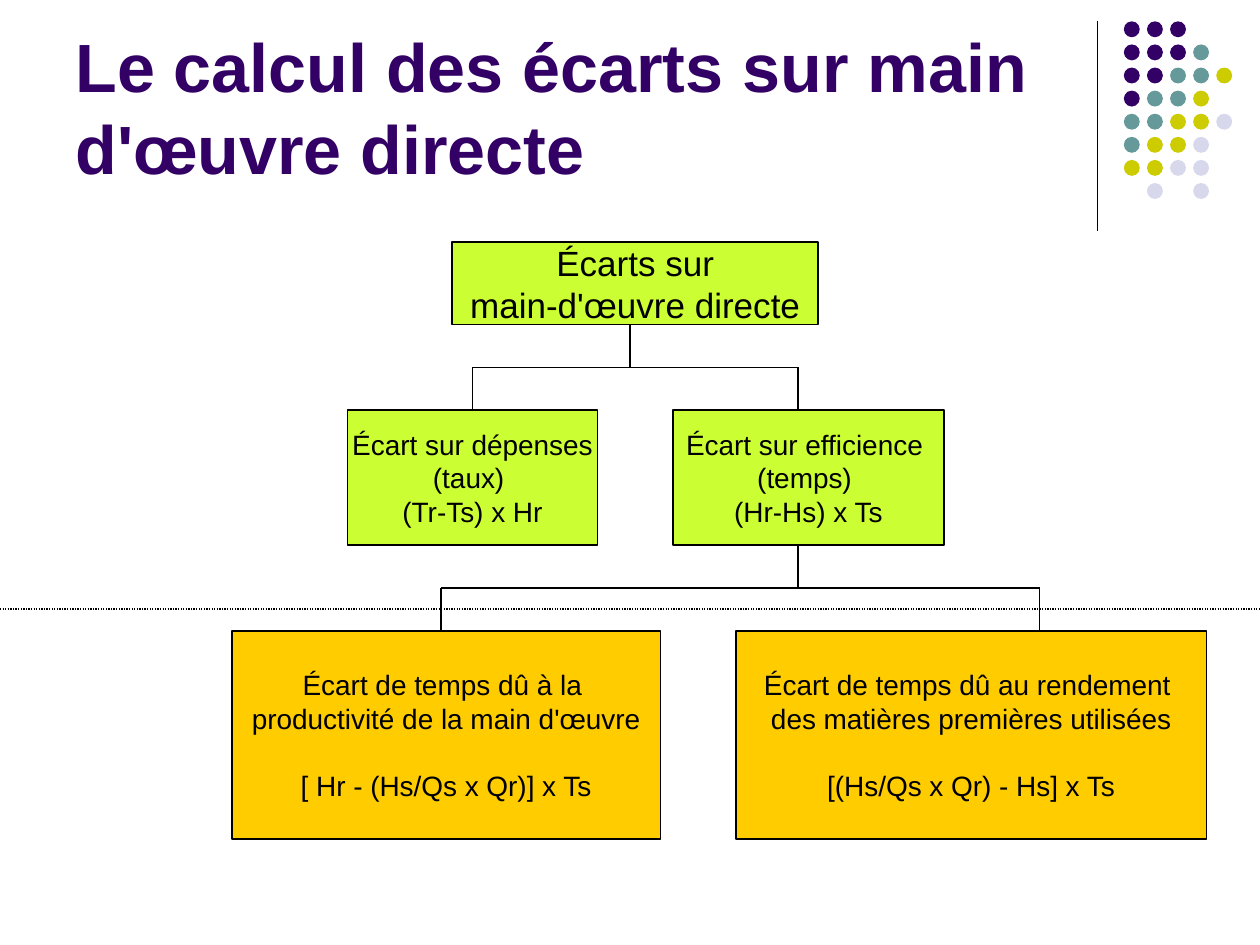
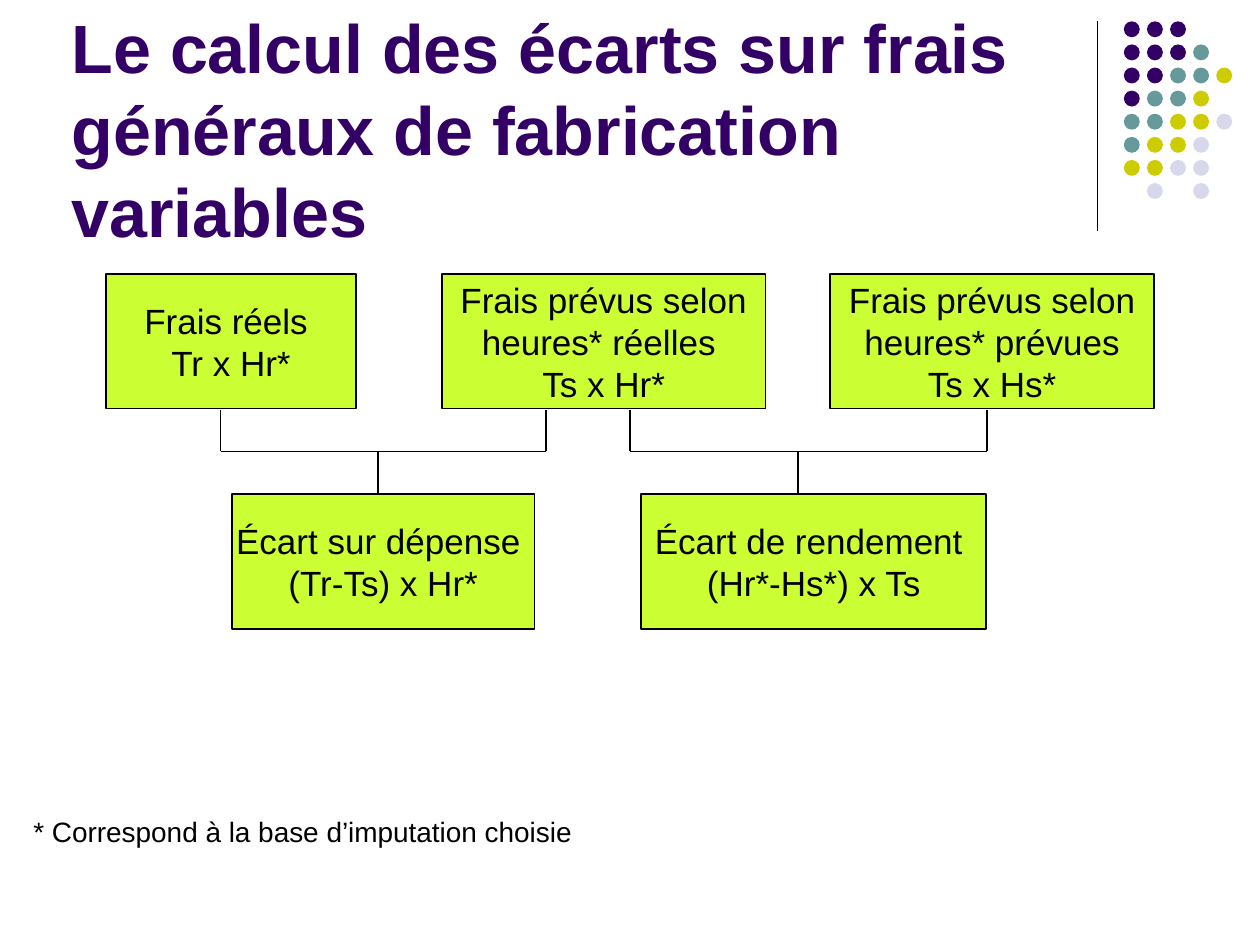
import pptx
import pptx.util
import pptx.dml.color
import pptx.enum.dml
import pptx.enum.shapes
import pptx.enum.text
import pptx.oxml
import pptx.oxml.ns

Pt = pptx.util.Pt
MIDDLE = pptx.enum.text.MSO_ANCHOR.MIDDLE
COLORS = {
    "ink": "000000",
    "lime": "CCFF33",
    "amber": "FFCC00",
    "purple": "330066",
    "teal": "669999",
    "olive": "CCCC00",
    "lavender": "D8D8EC",
}
DOT_COLORS = {"P": "purple", "T": "teal", "O": "olive", "L": "lavender"}
DOT_ROWS = ["PPP", "PPPT", "PPTTO", "PTTO", "TTOOL", "TOOL", "OOLL", " L L"]
TITLE_SHADOW = (
    f'<a:effectLst {pptx.oxml.ns.nsdecls("a")}>'
    '<a:outerShdw dist="25400" dir="2700000"><a:srgbClr val="808080"/></a:outerShdw>'
    '</a:effectLst>'
)


def rgb(name):
    return pptx.dml.color.RGBColor.from_string(COLORS[name])


class Deck:
    font = "Arial"

    def __init__(self):
        self.presentation = pptx.Presentation()
        self.presentation.slide_width = Pt(720)
        self.presentation.slide_height = Pt(540)
        self.slide = None

    def new_slide(self, title, left, top):
        self.slide = self.presentation.slides.add_slide(self.presentation.slide_layouts[6])
        self.line(627, 12, 627, 132, 0.75)
        self.dots()
        self.title(title, left, top)

    def dots(self):
        pattern = self.slide.shapes.add_group_shape()
        for row, codes in enumerate(DOT_ROWS):
            for column, code in enumerate(codes):
                if code in DOT_COLORS:
                    dot = pattern.shapes.add_shape(
                        pptx.enum.shapes.MSO_SHAPE.OVAL,
                        Pt(642.2 + 13.2 * column), Pt(12.2 + 13.2 * row), Pt(9.1), Pt(9.1))
                    dot.shadow.inherit = False
                    dot.fill.solid()
                    dot.fill.fore_color.rgb = rgb(DOT_COLORS[code])
                    dot.line.fill.background()

    def run(self, paragraph, text, size, color="ink", bold=False):
        run = paragraph.add_run()
        run.text = text
        run.font.size = Pt(size)
        run.font.name = self.font
        run.font.bold = bold
        run.font.color.rgb = rgb(color)
        return run

    def text(self, text, left, top, width, height, size, color="ink", bold=False, anchor=None):
        area = self.slide.shapes.add_textbox(Pt(left), Pt(top), Pt(width), Pt(height))
        area.text_frame.word_wrap = True
        area.text_frame.vertical_anchor = anchor
        return self.run(area.text_frame.paragraphs[0], text, size, color, bold)

    def title(self, text, left, top):
        run = self.text(text, left, top, 594, 102, 39, "purple", True, MIDDLE)
        fill = run.font._element.find(pptx.oxml.ns.qn("a:solidFill"))
        fill.addnext(pptx.oxml.parse_xml(TITLE_SHADOW))

    def box(self, lines, left, top, width, height, size, fill="lime", last_gap=0):
        box = self.slide.shapes.add_shape(
            pptx.enum.shapes.MSO_SHAPE.RECTANGLE, Pt(left), Pt(top), Pt(width), Pt(height))
        box.shadow.inherit = False
        box.fill.solid()
        box.fill.fore_color.rgb = rgb(fill)
        box.line.color.rgb = rgb("ink")
        box.line.width = Pt(1)
        frame = box.text_frame
        frame.word_wrap = False
        frame.vertical_anchor = MIDDLE
        for index, line in enumerate(lines):
            paragraph = frame.add_paragraph() if index else frame.paragraphs[0]
            paragraph.alignment = pptx.enum.text.PP_ALIGN.CENTER
            self.run(paragraph, line, size)
        if last_gap:
            paragraph.space_before = Pt(last_gap)

    def line(self, x1, y1, x2, y2, width=1, dash=None):
        line = self.slide.shapes.add_connector(
            pptx.enum.shapes.MSO_CONNECTOR.STRAIGHT, Pt(x1), Pt(y1), Pt(x2), Pt(y2))
        line.line.color.rgb = rgb("ink")
        line.line.width = Pt(width)
        if dash:
            line.line.dash_style = dash
        line._element.spPr.append(pptx.oxml.parse_xml(
            f'<a:effectLst {pptx.oxml.ns.nsdecls("a")}/>'))

    def bracket(self, stem_x, stem_y, bar_y, arm_xs, arm_y):
        self.line(stem_x, stem_y, stem_x, bar_y)
        self.line(arm_xs[0], bar_y, arm_xs[-1], bar_y)
        for arm_x in arm_xs:
            self.line(arm_x, bar_y, arm_x, arm_y)


def labour_variances(deck):
    deck.new_slide("Le calcul des écarts sur main d'œuvre directe", 36, 9.5)
    deck.box(["Écarts sur", "main-d'œuvre directe"], 258.5, 138.5, 209, 47, 20)
    deck.box(["Écart sur dépenses", "(taux) ", "(Tr-Ts) x Hr"], 198.5, 234.5, 143, 77, 16)
    deck.box(["Écart sur efficience ", "(temps) ", "(Hr-Hs) x Ts"], 384.5, 234.5, 155, 77, 16)
    deck.box(["Écart de temps dû à la ", "productivité de la main d'œuvre",
              "[ Hr - (Hs/Qs x Qr)] x Ts"], 132.5, 360.5, 245, 119, 16, "amber", 19)
    deck.box(["Écart de temps dû au rendement ", "des matières premières utilisées",
              "[(Hs/Qs x Qr) - Hs] x Ts"], 420.5, 360.5, 269, 119, 16, "amber", 19)
    deck.bracket(360, 186, 210, (270, 456), 234)
    deck.bracket(456, 312, 336, (252, 594), 360)
    deck.line(0, 348, 720, 348, 0.75, pptx.enum.dml.MSO_LINE.ROUND_DOT)


def overhead_variances(deck):
    deck.new_slide("Le calcul des écarts sur frais généraux de fabrication variables", 33.8, 22.3)
    costs = [
        (["Frais réels ", "Tr x Hr*"], 60.5, 143),
        (["Frais prévus selon", "heures* réelles ", "Ts x Hr*"], 252.5, 185),
        (["Frais prévus selon", "heures* prévues", "Ts x Hs*"], 474.5, 185),
    ]
    variances = [
        (["Écart sur dépense ", "(Tr-Ts) x Hr*"], 132.5, 173),
        (["Écart de rendement ", "(Hr*-Hs*) x Ts"], 366.5, 197),
    ]
    for top, row in ((156.5, costs), (282.5, variances)):
        for lines, left, width in row:
            deck.box(lines, left, top, width, 77, 20)
    deck.bracket(216, 282, 258, (126, 312), 234)
    deck.bracket(456, 282, 258, (360, 564), 234)
    deck.text("* Correspond à la base d’imputation choisie", 12, 462, 360, 26.6, 16)


def main():
    deck = Deck()
    labour_variances(deck)
    overhead_variances(deck)
    deck.presentation.save("out.pptx")


if __name__ == "__main__":
    main()
